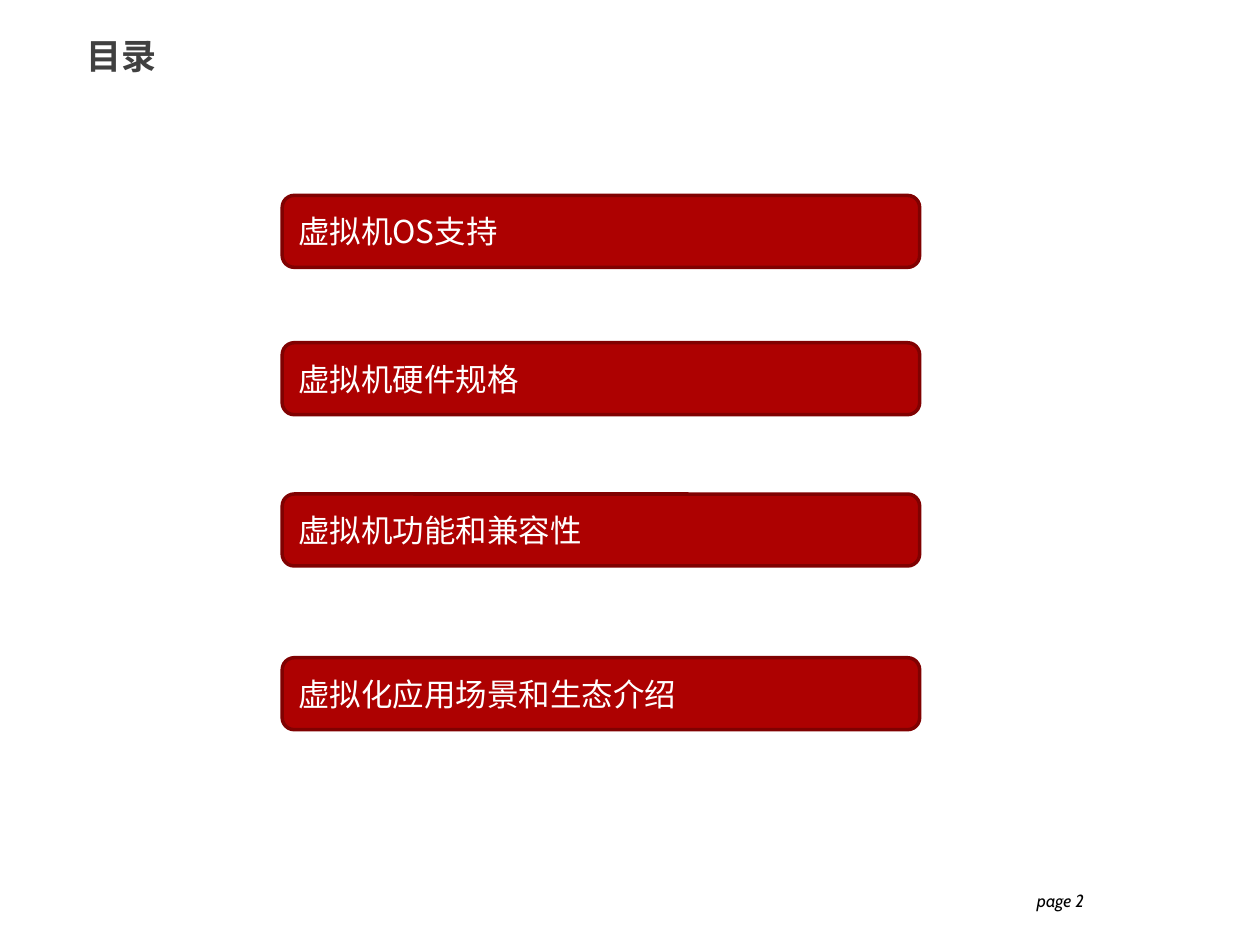
from dataclasses import dataclass

import pptx
import pptx.dml.color
import pptx.enum.shapes
import pptx.enum.text
import pptx.oxml.ns
import pptx.util
from lxml import etree
from pptx.util import Cm

ALIGN = pptx.enum.text.PP_ALIGN
ANCHOR = pptx.enum.text.MSO_ANCHOR


@dataclass(frozen=True)
class Theme:
    bar_fill: str = "AD0101"
    bar_line: str = "800101"
    bar_text: str = "FFFFFF"
    title_text: str = "404040"
    footer_text: str = "000000"
    chinese_font: str = "Noto Sans CJK SC"
    footer_font: str = "Cabin"
    title_size: int = 20
    bar_size: int = 18
    footer_size: int = 10
    line_width: int = 2


@dataclass(frozen=True)
class AgendaItem:
    label: str
    top: float  # centimetres


THEME = Theme()
BAR_LEFT, BAR_WIDTH, BAR_HEIGHT = Cm(5.69), Cm(12.85), Cm(1.45)
AGENDA = [
    AgendaItem("虚拟机OS支持", 3.94),
    AgendaItem("虚拟机硬件规格", 6.91),
    AgendaItem("虚拟机功能和兼容性", 9.96),
    AgendaItem("虚拟化应用场景和生态介绍", 13.26),
]


def rgb(code: str) -> pptx.dml.color.RGBColor:
    return pptx.dml.color.RGBColor.from_string(code)


def write_text(box, text: str, *, size: int, color: str, font: str = THEME.chinese_font,
               bold: bool = False, italic: bool = False,
               align=ALIGN.LEFT, anchor=ANCHOR.MIDDLE) -> None:
    """Fill a shape or text box with one formatted paragraph."""
    frame = box.text_frame
    frame.word_wrap = True
    frame.vertical_anchor = anchor
    para = frame.paragraphs[0]
    para.alignment = align
    span = para.add_run()
    span.text = text
    span.font.name = font
    span.font.size = pptx.util.Pt(size)
    span.font.bold = bold
    span.font.italic = italic
    span.font.color.rgb = rgb(color)
    # Chinese characters take their font from a separate element
    properties = span.font._element
    etree.SubElement(properties, pptx.oxml.ns.qn("a:ea"), typeface=font)


def draw_agenda_bar(page, item: AgendaItem) -> None:
    bar = page.shapes.add_shape(pptx.enum.shapes.MSO_SHAPE.ROUNDED_RECTANGLE,
                                BAR_LEFT, Cm(item.top), BAR_WIDTH, BAR_HEIGHT)
    bar.shadow.inherit = False
    bar.fill.solid()
    bar.fill.fore_color.rgb = rgb(THEME.bar_fill)
    bar.line.color.rgb = rgb(THEME.bar_line)
    bar.line.width = pptx.util.Pt(THEME.line_width)
    write_text(bar, item.label, size=THEME.bar_size, color=THEME.bar_text)


def main() -> None:
    deck = pptx.Presentation()
    deck.slide_width, deck.slide_height = Cm(25.4), Cm(19.05)
    page = deck.slides.add_slide(deck.slide_layouts[6])

    # Page number
    footer = page.shapes.add_textbox(Cm(16.18), Cm(17.81), Cm(5.92), Cm(1.32))
    write_text(footer, "page 2", size=THEME.footer_size, color=THEME.footer_text,
               font=THEME.footer_font, italic=True, align=ALIGN.RIGHT, anchor=ANCHOR.TOP)

    # Title
    title = page.shapes.add_textbox(Cm(1.5), Cm(0.53), Cm(15.8), Cm(1.19))
    write_text(title, "目录", size=THEME.title_size, color=THEME.title_text, bold=True)

    # Agenda
    for item in AGENDA:
        draw_agenda_bar(page, item)

    deck.save("out.pptx")


if __name__ == "__main__":
    main()
